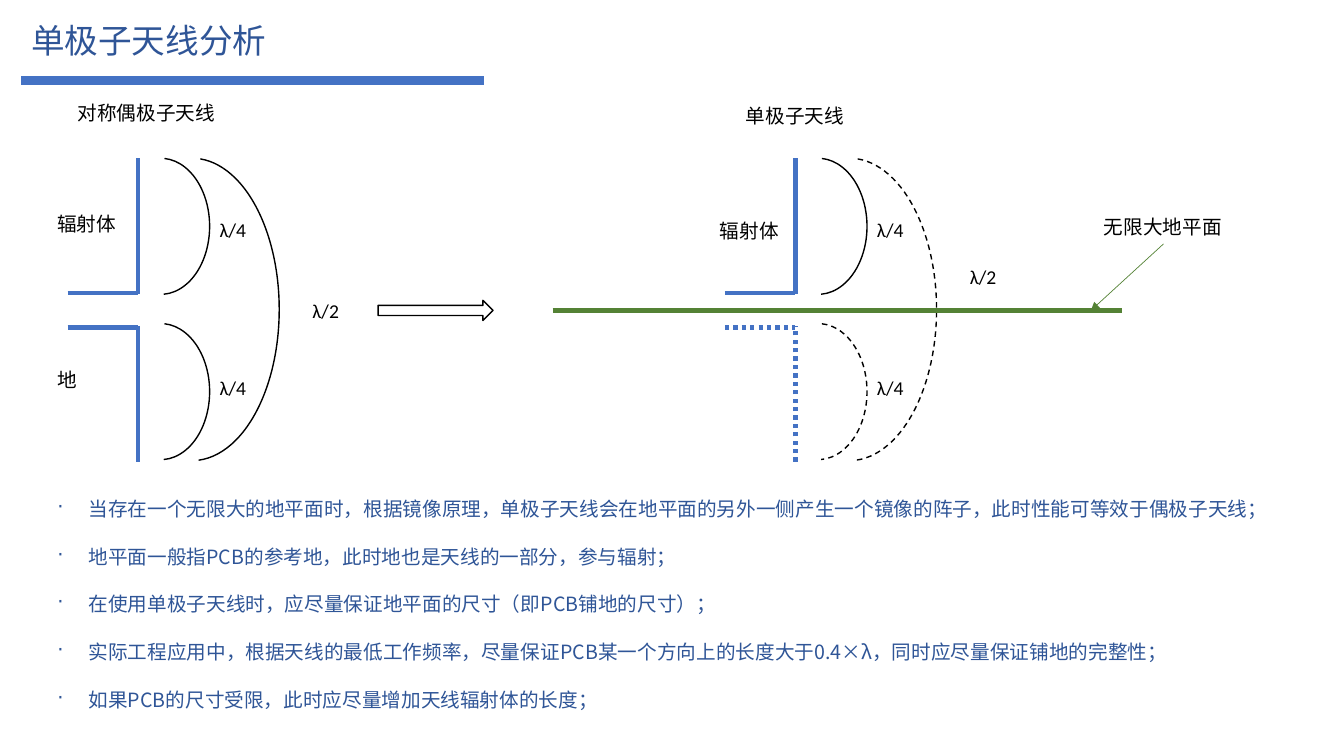
"""Slide that compares a dipole antenna with a monopole over ground."""
from lxml import etree
from pptx import Presentation
from pptx.dml.color import RGBColor
from pptx.enum.dml import MSO_LINE
from pptx.enum.shapes import MSO_CONNECTOR, MSO_SHAPE
from pptx.oxml.ns import qn
from pptx.util import Inches, Pt

STRAIGHT = MSO_CONNECTOR.STRAIGHT
ARC, ARROW = MSO_SHAPE.ARC, MSO_SHAPE.RIGHT_ARROW
DASH, DOT = MSO_LINE.DASH, MSO_LINE.ROUND_DOT
HAN, LATIN = "Noto Sans CJK SC", "Calibri"
INK = {"blue": "4472C4", "navy": "2F5597", "green": "548235", "black": "000000"}
FRAME = {"word_wrap": False, "margin_left": Inches(0.1), "margin_right": Inches(0.1),
         "margin_top": Inches(0.05), "margin_bottom": Inches(0.05)}
SWEEP = (163.9, 52.49)
NOTES = [
    "当存在一个无限大的地平面时，根据镜像原理，单极子天线会在地平面的另外一侧产生一个镜像的阵子，此时性能可等效于偶极子天线；",
    "地平面一般指PCB的参考地，此时地也是天线的一部分，参与辐射；",
    "在使用单极子天线时，应尽量保证地平面的尺寸（即PCB铺地的尺寸）；",
    "实际工程应用中，根据天线的最低工作频率，尽量保证PCB某一个方向上的长度大于0.4×λ，同时应尽量保证铺地的完整性；",
    "如果PCB的尺寸受限，此时应尽量增加天线辐射体的长度；",
]
LABELS = [
    (0.67, 0.95, 1.58, "对称偶极子天线"),
    (7.3, 0.98, 1.18, "单极子天线"),
    (0.47, 2.05, 0.79, "辐射体"),
    (0.47, 3.6, 0.4, "地"),
    (7.04, 2.12, 0.79, "辐射体"),
]


def ink(name):
    """Return the named colour."""
    return RGBColor.from_string(INK[name])


def stroke(line, color, width, dash=None):
    """Format a line."""
    line.color.rgb = ink(color)
    line.width = Pt(width)
    if dash is not None:
        line.dash_style = dash


def rule(shapes, start, end, color, width, dash=None):
    """Draw a straight line between two points."""
    line = shapes.add_connector(STRAIGHT, *map(Inches, start + end))
    stroke(line.line, color, width, dash)
    etree.SubElement(line._element.spPr, qn("a:effectLst"))
    return line


def outline(shapes, kind, box, dash=None):
    """Draw an unfilled preset shape."""
    shape = shapes.add_shape(kind, *map(Inches, box))
    shape.shadow.inherit = False
    shape.fill.background()
    stroke(shape.line, "black", 1, dash)
    return shape


def curve(shapes, box, dash=None):
    """Draw an arc that marks a length."""
    arc = outline(shapes, ARC, box, dash)
    for i, angle in enumerate(SWEEP):
        arc.adjustments[i] = angle


def write(shapes, box, lines, size=14, color="black", face=HAN, gap=0):
    """Add a text box with one paragraph per line."""
    shape = shapes.add_textbox(*map(Inches, box))
    frame = shape.text_frame
    for name, value in FRAME.items():
        setattr(frame, name, value)
    frame.text = "\n".join(lines)
    for para in frame.paragraphs:
        para.space_after = Pt(gap)
        if face == HAN:
            para.line_spacing = Pt(round(size * 1.2))
        font = para.runs[0].font
        font.name, font.size, font.color.rgb = face, Pt(size), ink(color)
        east = etree.SubElement(font._element, qn("a:ea"))
        east.set("typeface", HAN)
    return shape


def bullet(shape, mark="·", indent=0.31):
    """Give each paragraph a hanging bullet."""
    for para in shape.text_frame.paragraphs:
        props = para._p.get_or_add_pPr()
        props.set("marL", str(Inches(indent)))
        props.set("indent", str(-Inches(indent)))
        etree.SubElement(props, qn("a:buChar")).set("char", mark)


def wave(shapes, left, top, part):
    """Label a fraction of the wavelength."""
    write(shapes, (left, top, 0.47, 0.34), [f"λ/{part}"], face=LATIN)


def mast(shapes, left, dot=None, dash=None):
    """Draw both arms of an antenna with their length marks."""
    arms = shapes.add_group_shape().shapes
    side = left + 0.7
    for feed, root, tip, style in ((2.91, 2.92, 1.57, None), (3.25, 3.23, 4.58, dot)):
        rule(arms, (left, feed), (side, feed), "blue", 3, style)
        rule(arms, (side, max(root, tip)), (side, min(root, tip)), "blue", 3, style)
    curve(shapes, (left + 0.37, 1.57, 1.73, 3), dash)
    for top, text_top, style in ((1.57, 2.11, None), (3.21, 3.68, dash)):
        curve(shapes, (left + 0.44, top, 0.97, 1.35), style)
        wave(shapes, left + 1.41, text_top, 4)


def main():
    """Build and save the slide."""
    deck = Presentation()
    deck.slide_width, deck.slide_height = Inches(13.33), Inches(7.5)
    shapes = deck.slides.add_slide(deck.slide_layouts[6]).shapes
    rule(shapes, (0.21, 0.8), (4.8, 0.8), "blue", 6)
    write(shapes, (0.21, 0.15, 2.56, 0.5), ["单极子天线分析"], 24, "navy")
    mast(shapes, 0.67)
    wave(shapes, 3, 2.92, 2)
    mast(shapes, 7.19, DOT, DASH)
    wave(shapes, 9.52, 2.58, 2)
    outline(shapes, ARROW, (3.75, 2.98, 1.14, 0.2))
    rule(shapes, (5.48, 3.08), (11.13, 3.08), "green", 3)
    plane = write(shapes, (10.85, 2.08, 1.38, 0.34), ["无限大地平面"])
    lead = rule(shapes, (11.54, 2.42), (10.82, 3.08), "green", 0.5)
    lead.begin_connect(plane, 2)
    etree.SubElement(lead.line._get_or_add_ln(), qn("a:tailEnd")).set("type", "triangle")
    for left, top, width, text in LABELS:
        write(shapes, (left, top, width, 0.34), [text])
    bullet(write(shapes, (0.47, 4.88, 12.3, 2.22), NOTES, color="navy", gap=17))
    deck.save("out.pptx")


if __name__ == "__main__":
    main()
